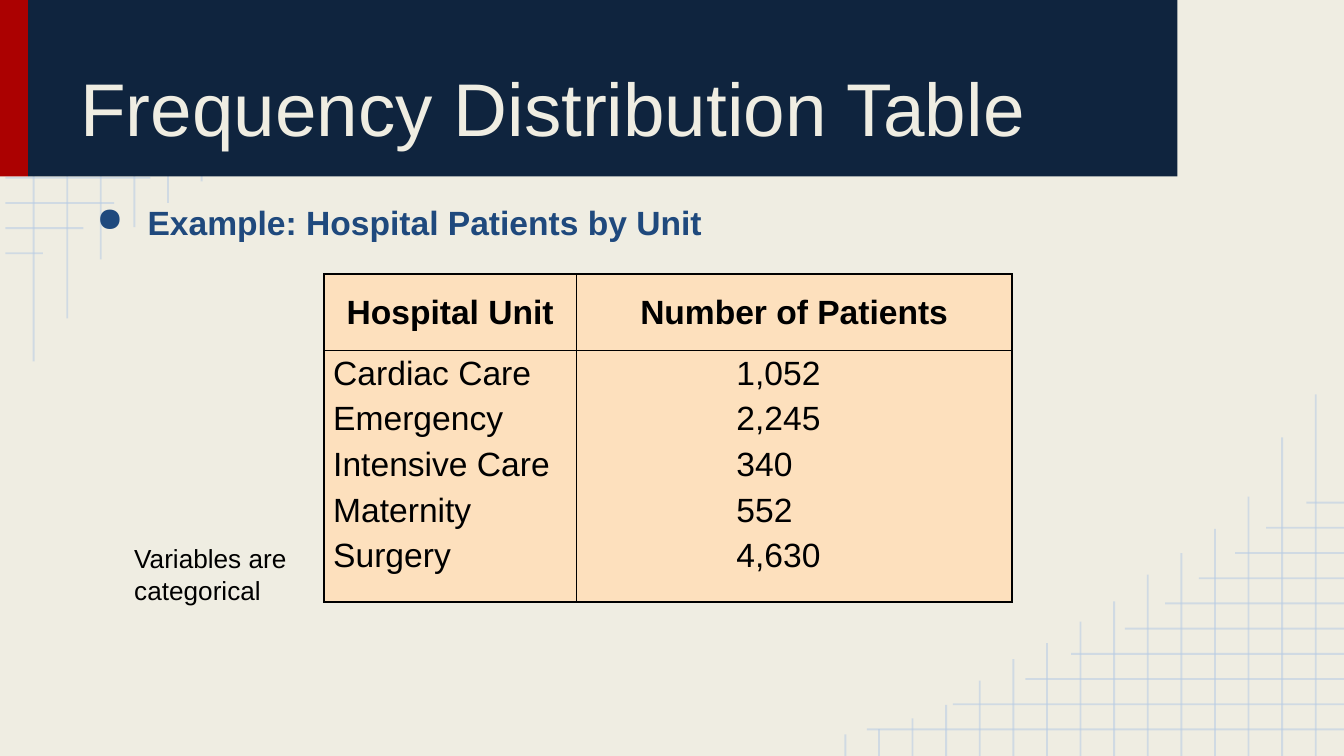
from dataclasses import dataclass

from pptx import Presentation
from pptx.dml.color import RGBColor
from pptx.enum.shapes import MSO_CONNECTOR, MSO_SHAPE
from pptx.enum.text import MSO_ANCHOR as Anchor, PP_ALIGN as Align
from pptx.oxml.ns import qn
from pptx.util import Inches, Pt
from lxml.etree import SubElement

WIDTH, HEIGHT = 10, 5.625
COL, ROW = WIDTH / 40, HEIGHT / 30  # the grid that the faint lines follow
FONT = "Arial"
COLORS = {
    "paper": "EFEDE2", "grid": "B7CCE4", "red": "AB0101", "navy": "0F243E",
    "blue": "1F497D", "peach": "FDE0BD", "black": "000000",
}

# Lengths of the grid lines, outward from the corner, in inches
ACROSS = [3.59, 2.95, 2.41, 2.07, 1.67, 1.37, 1.12, 0.85, 0.62, 0.32]
DOWN = [2.69, 2.37, 1.93, 1.69, 1.51, 1.35, 1.15, 1.0,
        0.84, 0.72, 0.56, 0.38, 0.28, 0.2, 0.16]
EDGE = 0.04

HEADINGS = ("Hospital Unit", "Number of Patients")
PATIENTS = [
    ("Cardiac Care", "1,052"),
    ("Emergency", "2,245"),
    ("Intensive Care", "340"),
    ("Maternity", "552"),
    ("Surgery", "4,630"),
]
UNIT_WIDTH, COUNT_WIDTH = 1.88, 3.24
HEADING_HEIGHT, LINE_HEIGHT, LAST_HEIGHT = 0.57, 0.34, 0.51


@dataclass(frozen=True)
class Region:
    """An area counted in grid columns and rows."""
    col: float
    row: float
    cols: float
    rows: float

    def box(self) -> list:
        return [Inches(n) for n in (self.col * COL, self.row * ROW,
                                    self.cols * COL, self.rows * ROW)]


@dataclass(frozen=True)
class Style:
    size: float
    color: str
    bold: bool = False


@dataclass(frozen=True)
class GridLine:
    x1: float
    y1: float
    x2: float
    y2: float

    def turned(self) -> "GridLine":
        """The same line in the opposite corner."""
        return GridLine(WIDTH + EDGE - self.x1, HEIGHT - self.y1,
                        WIDTH + EDGE - self.x2, HEIGHT - self.y2)

    def under_band(self) -> bool:
        return max(self.y1, self.y2) < BAND.rows * ROW


RED_BAND = Region(0, 0, 0.84, 7)
BAND = Region(0.84, 0, 34.2, 7)
TITLE = Region(2, 0.6, 32, 5.92)
EXAMPLE = Region(2, 7.47, 36, 2.5)
TABLE = Region(9.64, 10.88, 20.48, 13)
NOTE = Region(3.6, 21.28, 6.04, 3.04)


def rgb(name: str) -> RGBColor:
    return RGBColor.from_string(COLORS[name])


def write(paragraph, text: str, style: Style) -> None:
    run = paragraph.add_run()
    run.text = text
    font = run.font
    font.name, font.size, font.bold = FONT, Pt(style.size), style.bold
    font.color.rgb = rgb(style.color)


def draw_grid_line(slide, line: GridLine) -> None:
    connector = slide.shapes.add_connector(
        MSO_CONNECTOR.STRAIGHT,
        *[Inches(n) for n in (line.x1, line.y1, line.x2, line.y2)])
    connector.line.color.rgb = rgb("grid")
    connector.line.width = Pt(1)
    properties = connector._element.spPr
    SubElement(properties, qn("a:effectLst"))
    tint = properties.find(".//" + qn("a:srgbClr"))
    SubElement(tint, qn("a:alpha"), val="54000")


def draw_grid(slide) -> None:
    lines = [GridLine(EDGE, n * ROW + 0.01, end, n * ROW + 0.01)
             for n, end in enumerate(ACROSS, 1)]
    lines += [GridLine(n * COL, 0, n * COL, end)
              for n, end in enumerate(DOWN, 1)]
    for line in lines:
        if not line.under_band():
            draw_grid_line(slide, line)
        draw_grid_line(slide, line.turned())


def draw_band(slide, region: Region, color: str) -> None:
    band = slide.shapes.add_shape(MSO_SHAPE.RECTANGLE, *region.box())
    band.shadow.inherit = False
    band.fill.solid()
    band.fill.fore_color.rgb = rgb(color)
    band.line.fill.background()


def add_text(slide, region: Region, text: str, style: Style,
             inset: float = 0.1, anchor: Anchor = Anchor.TOP):
    """Add a one-paragraph text box and return the paragraph."""
    frame = slide.shapes.add_textbox(*region.box()).text_frame
    frame.word_wrap = True
    frame.vertical_anchor = anchor
    frame.margin_left = frame.margin_right = Inches(0.1)
    frame.margin_top = frame.margin_bottom = Inches(inset)
    write(frame.paragraphs[0], text, style)
    return frame.paragraphs[0]


def add_bullet(paragraph, color: str) -> None:
    properties = paragraph._p.get_or_add_pPr()
    properties.set("marL", str(Inches(0.5)))
    properties.set("indent", str(Inches(-0.38)))
    tint = SubElement(properties, qn("a:buClr"))
    SubElement(tint, qn("a:srgbClr"), val=COLORS[color])
    SubElement(properties, qn("a:buChar"), char="●")


def set_borders(cell, top: float, bottom: float) -> None:
    """Rule the cell with 1 pt sides; a width of 0 leaves an edge open."""
    properties = cell._tc.get_or_add_tcPr()
    for side, width in (("L", 1), ("R", 1), ("T", top), ("B", bottom)):
        edge = SubElement(properties, qn(f"a:ln{side}"), w=str(Pt(width)))
        if width:
            fill = SubElement(edge, qn("a:solidFill"))
            SubElement(fill, qn("a:srgbClr"), val=COLORS["black"])
        else:
            SubElement(edge, qn("a:noFill"))


def add_patient_table(slide) -> None:
    rows = [HEADINGS, *PATIENTS]
    last = len(rows) - 1
    table = slide.shapes.add_table(len(rows), 2, *TABLE.box()).table
    table.horz_banding = False
    table.columns[0].width = Inches(UNIT_WIDTH)
    table.columns[1].width = Inches(COUNT_WIDTH)
    heights = [HEADING_HEIGHT, *[LINE_HEIGHT] * (last - 1), LAST_HEIGHT]
    for r, (texts, height) in enumerate(zip(rows, heights)):
        table.rows[r].height = Inches(height)
        heading = r == 0
        for c, text in enumerate(texts):
            cell = table.cell(r, c)
            set_borders(cell, top=(1, 0.75)[r] if r < 2 else 0,
                        bottom=0.75 if heading else int(r == last))
            cell.fill.solid()
            cell.fill.fore_color.rgb = rgb("peach")
            cell.vertical_anchor = Anchor.MIDDLE if heading else Anchor.TOP
            cell.margin_left = Inches(1.19 if c and not heading else 0.07)
            cell.margin_right = Inches(0.07)
            cell.margin_top = Inches(0 if heading else 0.03)
            cell.margin_bottom = 0
            paragraph = cell.text_frame.paragraphs[0]
            paragraph.alignment = Align.CENTER if heading else Align.LEFT
            write(paragraph, text, Style(18, "black", heading))


def main() -> None:
    deck = Presentation()
    deck.slide_width, deck.slide_height = Inches(WIDTH), Inches(HEIGHT)
    slide = deck.slides.add_slide(deck.slide_layouts[6])
    slide.background.fill.solid()
    slide.background.fill.fore_color.rgb = rgb("paper")

    draw_grid(slide)
    draw_band(slide, RED_BAND, "red")
    draw_band(slide, BAND, "navy")
    title = add_text(slide, TITLE, "Frequency Distribution Table",
                     Style(40, "paper"), anchor=Anchor.BOTTOM)
    title.line_spacing = 0.8
    example = add_text(slide, EXAMPLE, "Example: Hospital Patients by Unit",
                       Style(18, "blue", True))
    add_bullet(example, "blue")
    add_patient_table(slide)
    add_text(slide, NOTE, "Variables are categorical", Style(14, "black"),
             inset=0.05)
    deck.save("out.pptx")


if __name__ == "__main__":
    main()
